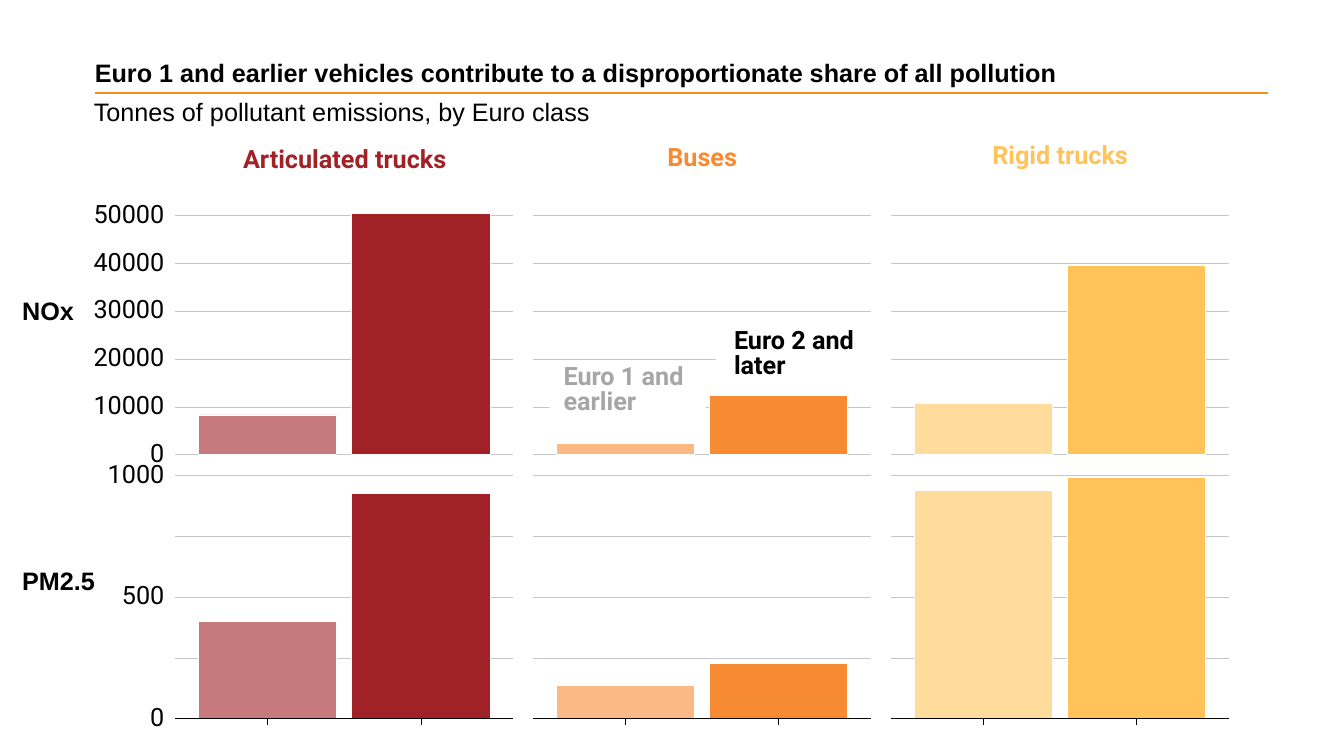
"""Build the slide on pollutant emissions by vehicle type and Euro class."""
from dataclasses import dataclass

from lxml import etree
from pptx import Presentation
from pptx import util as u
from pptx.dml import color
from pptx.enum import shapes, text
from pptx.oxml import ns

COLORS = {
    "black": "000000", "white": "FFFFFF", "grey": "A6A6A6", "grid": "C3C7CB",
    "rule": "F3901D", "red": "A02226", "pale_red": "C67A7D", "orange": "F68B33",
    "pale_orange": "FAB985", "yellow": "FFC35A", "pale_yellow": "FFDB9C",
}
PANEL_LEFT, PANEL_PITCH, PANEL_WIDTH = 1.74, 3.55, 3.35
BAR_OFFSETS, BAR_WIDTH = (0.23, 1.75), 1.37
LABEL_RIGHT, LABEL_HEIGHT = 1.63, 0.18
DIGIT_WIDTH, LABEL_SLACK = 0.14, 0.06
TICK_LENGTH = 0.06


@dataclass
class Pollutant:
    name: str
    name_box: tuple[float, float, float, float]
    top: float
    base: float
    maximum: int
    grid_step: int
    label_step: int

    def height(self, value: float) -> float:
        return (self.base - self.top) * value / self.maximum


@dataclass
class Vehicle:
    name: str
    name_box: tuple[float, float, float, float]
    bar_colors: tuple[str, str]
    tonnes: dict[str, tuple[int, int]]


@dataclass
class Callout:
    wording: str
    box: tuple[float, float, float, float]
    color: str
    indent: float


POLLUTANTS = [
    Pollutant("NOx", (0.22, 2.96, 0.7, 0.27), 2.14, 4.51, 50000, 10000, 10000),
    Pollutant("PM2.5", (0.22, 5.64, 0.79, 0.27), 4.72, 7.13, 1000, 250, 500),
]
VEHICLES = [
    Vehicle("Articulated trucks", (2.36, 1.51, 2.12, 0.18), ("pale_red", "red"),
            {"NOx": (8300, 50400), "PM2.5": (402, 929)}),
    Vehicle("Buses", (6.56, 1.49, 0.81, 0.18), ("pale_orange", "orange"),
            {"NOx": (2400, 12400), "PM2.5": (138, 229)}),
    Vehicle("Rigid trucks", (9.78, 1.44, 1.47, 0.24), ("pale_yellow", "yellow"),
            {"NOx": (10800, 39500), "PM2.5": (938, 992)}),
]
CALLOUTS = [
    Callout("Euro 1 and\nearlier", (5.45, 3.58, 1.55, 0.59), "grey", 0.14),
    Callout("Euro 2 and\nlater", (7.1, 3.22, 1.55, 0.59), "black", 0.18),
]


def rgb(name: str) -> color.RGBColor:
    return color.RGBColor.from_string(COLORS[name])


def add_line(page, start: tuple[float, float], end: tuple[float, float],
             tint: str, width: float) -> None:
    line = page.shapes.add_connector(
        shapes.MSO_CONNECTOR.STRAIGHT, *map(u.Inches, start + end))
    line.line.color.rgb = rgb(tint)
    line.line.width = u.Pt(width)
    etree.SubElement(line.element.spPr, ns.qn("a:effectLst"))


def add_rectangle(page, box: tuple[float, float, float, float], fill: str):
    rectangle = page.shapes.add_shape(
        shapes.MSO_SHAPE.RECTANGLE, *map(u.Inches, box))
    rectangle.shadow.inherit = False
    rectangle.fill.solid()
    rectangle.fill.fore_color.rgb = rgb(fill)
    rectangle.line.fill.background()
    return rectangle


def write(shape, wording: str, font: str, tint: str = "black", bold: bool = False,
          align=text.PP_ALIGN.LEFT, anchor=text.MSO_ANCHOR.MIDDLE,
          spacing: float | u.Length = u.Pt(18), indent: float = 0) -> None:
    frame = shape.text_frame
    frame.text = wording
    frame.word_wrap = True
    frame.vertical_anchor = anchor
    frame.margin_left = u.Inches(indent)
    frame.margin_right = frame.margin_top = frame.margin_bottom = 0
    for para in frame.paragraphs:
        para.alignment = align
        para.line_spacing = spacing
        for span in para.runs:
            span.font.name = font
            span.font.size = u.Pt(18)
            span.font.bold = bold
            span.font.color.rgb = rgb(tint)


def add_text(page, box: tuple[float, float, float, float], wording: str,
             font: str, **style) -> None:
    write(page.shapes.add_textbox(*map(u.Inches, box)), wording, font, **style)


def add_panel(page, left: float, pollutant: Pollutant, vehicle: Vehicle) -> None:
    right = left + PANEL_WIDTH
    for value in range(0, pollutant.maximum + 1, pollutant.grid_step):
        level = pollutant.base - pollutant.height(value)
        add_line(page, (left, level), (right, level), "grid", 0.37)
    for offset, tint, value in zip(
            BAR_OFFSETS, vehicle.bar_colors, vehicle.tonnes[pollutant.name]):
        height = pollutant.height(value)
        bar = add_rectangle(
            page, (left + offset, pollutant.base - height, BAR_WIDTH, height), tint)
        bar.line.color.rgb = rgb("white")
        bar.line.width = u.Pt(0.56)


def add_category_axis(page, left: float, base: float) -> None:
    add_line(page, (left, base), (left + PANEL_WIDTH, base), "black", 0.75)
    for offset in BAR_OFFSETS:
        center = left + offset + BAR_WIDTH / 2
        add_line(page, (center, base), (center, base + TICK_LENGTH), "black", 0.56)


def add_value_labels(page, pollutant: Pollutant) -> None:
    for value in range(0, pollutant.maximum + 1, pollutant.label_step):
        width = DIGIT_WIDTH * len(str(value)) + LABEL_SLACK
        top = pollutant.base - pollutant.height(value) - LABEL_HEIGHT / 2
        add_text(page, (LABEL_RIGHT - width, top, width, LABEL_HEIGHT),
                 str(value), "Roboto", align=text.PP_ALIGN.RIGHT)


def main() -> None:
    deck = Presentation()
    deck.slide_width, deck.slide_height = u.Inches(13.33), u.Inches(7.5)
    page = deck.slides.add_slide(deck.slide_layouts[6])

    add_line(page, (0.94, 0.92), (12.58, 0.92), "rule", 1.5)
    add_text(page, (0.94, 0.21, 9.88, 0.66),
             "Euro 1 and earlier vehicles contribute to a disproportionate share "
             "of all pollution", "Arial", bold=True,
             anchor=text.MSO_ANCHOR.BOTTOM, spacing=1.0)
    add_text(page, (0.93, 0.99, 11.65, 0.27),
             "Tonnes of pollutant emissions, by Euro class", "Arial",
             anchor=text.MSO_ANCHOR.TOP, spacing=0.9)

    for column, vehicle in enumerate(VEHICLES):
        left = PANEL_LEFT + column * PANEL_PITCH
        for pollutant in POLLUTANTS:
            add_panel(page, left, pollutant, vehicle)
        add_category_axis(page, left, POLLUTANTS[-1].base)
        add_text(page, vehicle.name_box, vehicle.name, "Roboto",
                 tint=vehicle.bar_colors[1], bold=True, align=text.PP_ALIGN.CENTER)

    for pollutant in POLLUTANTS:
        add_value_labels(page, pollutant)
        add_text(page, pollutant.name_box, pollutant.name, "Arial", bold=True,
                 anchor=text.MSO_ANCHOR.TOP, spacing=0.9)

    for callout in CALLOUTS:
        write(add_rectangle(page, callout.box, "white"), callout.wording,
              "Roboto", tint=callout.color, bold=True, indent=callout.indent)

    deck.save("out.pptx")


if __name__ == "__main__":
    main()
